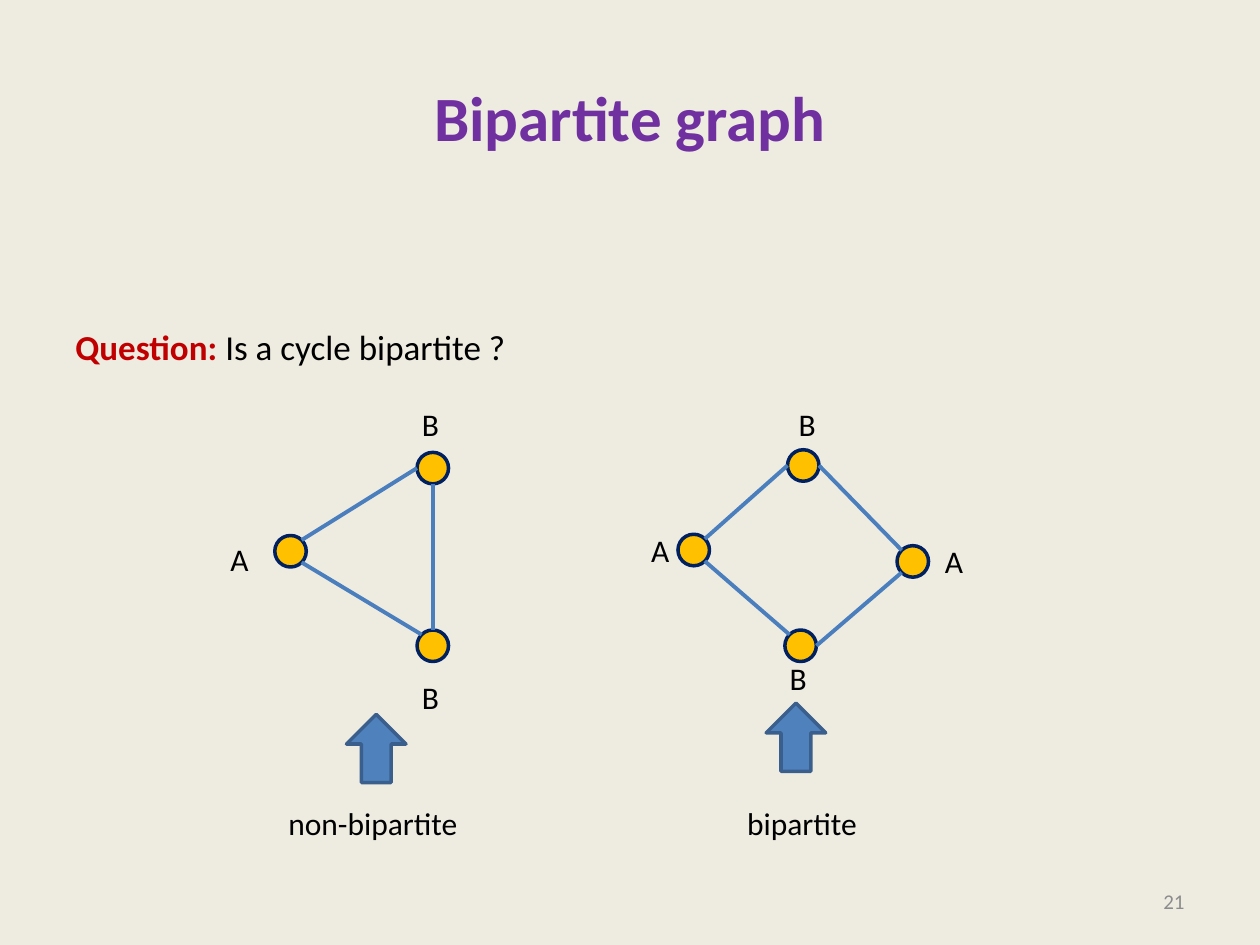
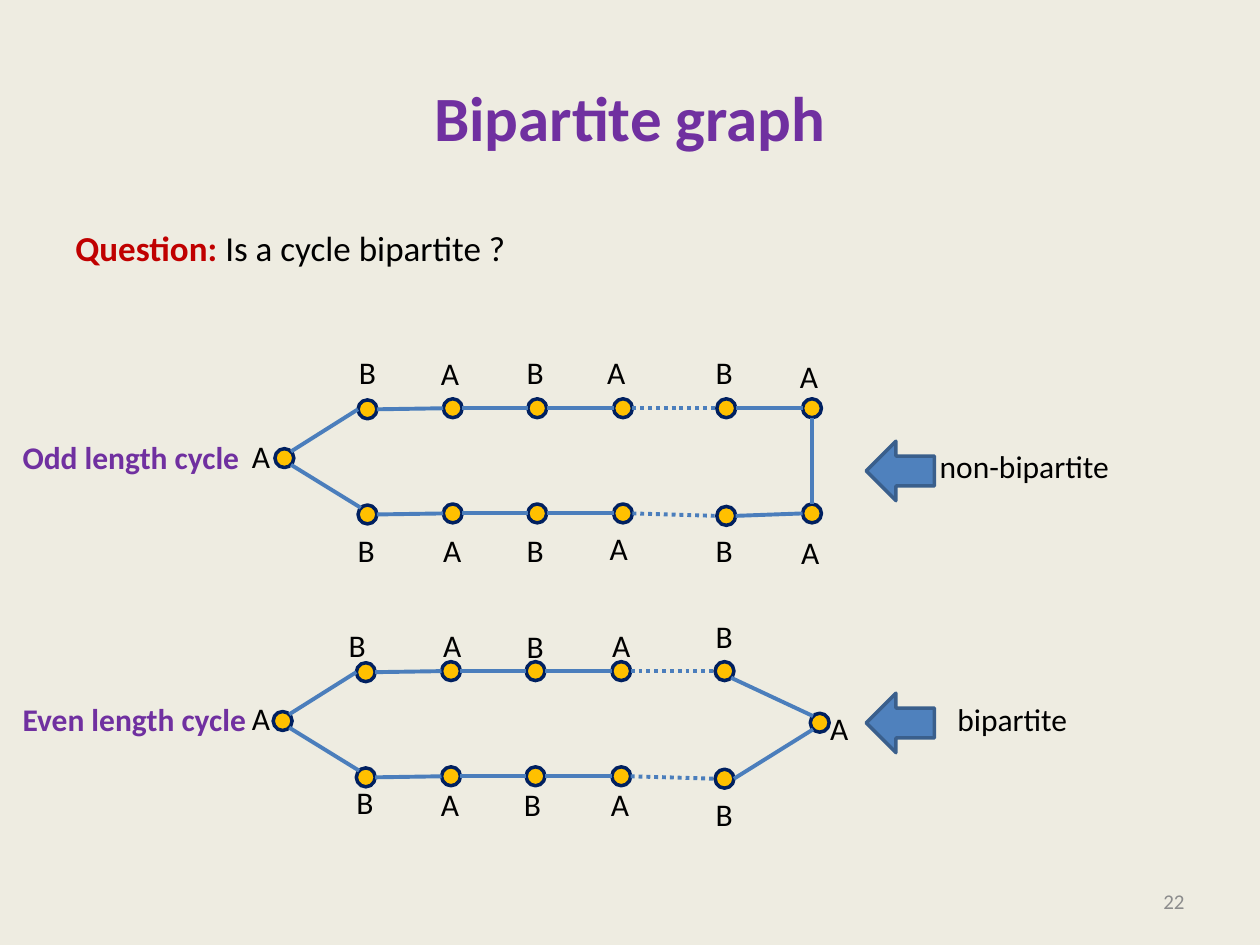
from math import cos, sin, radians
from lxml import etree
from pptx import Presentation
from pptx.dml.color import RGBColor
from pptx.enum.dml import MSO_LINE
from pptx.enum.shapes import MSO_CONNECTOR, MSO_SHAPE
from pptx.enum.text import MSO_ANCHOR, MSO_AUTO_SIZE, PP_ALIGN
from pptx.oxml.ns import qn
from pptx.util import Pt

BACKGROUND = RGBColor(0xEE, 0xEC, 0xE1)
PURPLE = RGBColor(0x70, 0x30, 0xA0)
RED = RGBColor(0xC0, 0x00, 0x00)
BLACK = RGBColor(0x00, 0x00, 0x00)
GRAY = RGBColor(0x8C, 0x8C, 0x8C)
GOLD = RGBColor(0xFF, 0xC0, 0x00)
NAVY = RGBColor(0x00, 0x20, 0x60)
EDGE = RGBColor(0x4B, 0x7E, 0xBC)
BLUE = RGBColor(0x4F, 0x81, 0xBD)
DARK_BLUE = RGBColor(0x3A, 0x5F, 0x8C)
FONT = "Calibri"
ANGLES = {side: radians(45 * i) for i, side in
          enumerate(["e", "se", "s", "sw", "w", "nw", "n", "ne"])}
WIDTHS = {"A": 25.2, "B": 24.5, "non-bipartite": 112.3, "bipartite": 77.8,
          "Odd length cycle": 139, "Even length cycle": 143.3}


def add_text(s, text, x, y, w, h=28.8, size=18, color=BLACK, bold=False,
             align=PP_ALIGN.LEFT, anchor=MSO_ANCHOR.TOP, wrap=True):
    tf = s.shapes.add_textbox(Pt(x), Pt(y), Pt(w), Pt(h)).text_frame
    tf.word_wrap = wrap
    tf.auto_size = MSO_AUTO_SIZE.NONE if wrap else MSO_AUTO_SIZE.SHAPE_TO_FIT_TEXT
    tf.vertical_anchor = anchor
    p = tf.paragraphs[0]
    p.text = text
    p.alignment = align
    font = p.runs[0].font
    font.name, font.size, font.bold = FONT, Pt(size), bold
    font.color.rgb = color
    return p


def add_graph(s, nodes, edges, d):
    for x, y in nodes.values():
        sp = s.shapes.add_shape(MSO_SHAPE.OVAL, Pt(x - d / 2), Pt(y - d / 2), Pt(d), Pt(d))
        sp.shadow.inherit = False
        sp.fill.solid()
        sp.fill.fore_color.rgb = GOLD
        sp.line.color.rgb = NAVY
        sp.line.width = Pt(2)
    for start, start_side, end, end_side, dotted in edges:
        ends = []
        for node, side in ((start, start_side), (end, end_side)):
            x, y = nodes[node]
            ends += [Pt(x + d / 2 * cos(ANGLES[side])), Pt(y + d / 2 * sin(ANGLES[side]))]
        cx = s.shapes.add_connector(MSO_CONNECTOR.STRAIGHT, *ends)
        cx.line.color.rgb = EDGE
        cx.line.width = Pt(2.25)
        if dotted:
            cx.line.dash_style = MSO_LINE.ROUND_DOT
        etree.SubElement(cx._element.spPr, qn("a:effectLst"))


prs = Presentation()
prs.slide_width, prs.slide_height = Pt(720), Pt(540)

triangle = {"left": (166, 315), "top": (247.3, 267.5), "bottom": (247.3, 369)}
triangle_edges = [
    ("left", "ne", "top", "w", False),
    ("left", "se", "bottom", "nw", False),
    ("top", "s", "bottom", "n", False),
]
square = {"left": (396.4, 314.3), "top": (459, 266),
          "bottom": (457.5, 369), "right": (521.6, 320.8)}
square_edges = [
    ("left", "se", "bottom", "nw", False),
    ("left", "ne", "top", "w", False),
    ("top", "e", "right", "nw", False),
    ("right", "sw", "bottom", "e", False),
]

rail_x = [210, 258.7, 307, 356, 415]
rails = {"top": [233.9, 233.3, 233.3, 233.3, 233.3],
         "bottom": [294, 293.4, 293.4, 293.4, 294.8]}
odd = {"start": (162.5, 261.8)}
chain_edges = [("start", "ne", "top0", "w", False), ("start", "se", "bottom0", "nw", False)]
for rail, rail_y in rails.items():
    for i, (x, y) in enumerate(zip(rail_x, rail_y)):
        odd[f"{rail}{i}"] = (x, y)
        if i:
            chain_edges.append((f"{rail}{i - 1}", "e", f"{rail}{i}", "w", i == 4))
even = {name: (x - 1, y + 150.2) for name, (x, y) in odd.items()}
odd["top5"] = (464, 233.3)
odd["bottom5"] = (464, 293.4)
even["end"] = (468.4, 413)
odd_edges = chain_edges + [
    ("top4", "e", "top5", "w", False),
    ("bottom4", "e", "bottom5", "w", False),
    ("top5", "s", "bottom5", "n", False),
]
even_edges = chain_edges + [
    ("top4", "se", "end", "nw", False),
    ("end", "sw", "bottom4", "e", False),
]

small_labels = [
    ("A", 124.5, 305.3), ("B", 234, 383.8), ("B", 234, 228.2),
    ("A", 365, 300.2), ("B", 449.3, 228.2), ("B", 444.2, 373), ("A", 532.8, 306),
    ("non-bipartite", 157.7, 455.8), ("bipartite", 419.8, 455.8),
]
long_labels = [
    ("A", 136.8, 246.2), ("A", 136.8, 396), ("A", 467.3, 401.8),
    ("non-bipartite", 529.9, 252), ("bipartite", 540, 396.7),
    ("Odd length cycle", 5.8, 247), ("Even length cycle", 5.8, 396.7),
]
label_rows = [
    [(198, 198), (244.8, 198.7), (293.8, 198), (339.8, 198), (401.8, 198), (450, 200.2)],
    [(197.3, 300.2), (246.2, 300.2), (293.8, 300.2), (341.3, 298.8), (401.8, 300.2), (450.7, 301)],
    [(192.2, 354.2), (246.2, 354.2), (293.8, 355), (342.7, 354.2), (401.8, 349.2)],
    [(196.6, 444.2), (244.8, 445), (292.3, 445), (342, 445), (401.8, 450.7)],
]
for row in label_rows:
    long_labels += [("BA"[i % 2], x, y) for i, (x, y) in enumerate(row)]

slides = [
    (21, 182.4, 18, [(triangle, triangle_edges), (square, square_edges)],
     small_labels, 0, [(198, 408.2), (437.8, 401.8)]),
    (22, 126, 10.8, [(odd, odd_edges), (even, even_edges)],
     long_labels, 270, [(497.5, 249.6), (497.5, 393.6)]),
]
for number, question_y, d, graphs, labels, rotation, arrows in slides:
    s = prs.slides.add_slide(prs.slide_layouts[6])
    s.background.fill.solid()
    s.background.fill.fore_color.rgb = BACKGROUND
    add_text(s, "Bipartite graph", 36, 21.6, 648, 90, 36, PURPLE, True,
             PP_ALIGN.CENTER, MSO_ANCHOR.MIDDLE)
    p = add_text(s, "Question: ", 36, question_y, 648, 482.4 - question_y, 20, RED, True)
    r = p.add_run()
    r.text = "Is a cycle bipartite ?"
    r.font.name, r.font.size = FONT, Pt(20)
    r.font.color.rgb = BLACK
    add_text(s, str(number), 516, 500.5, 168, size=12, color=GRAY,
             align=PP_ALIGN.RIGHT, anchor=MSO_ANCHOR.MIDDLE)
    for nodes, edges in graphs:
        add_graph(s, nodes, edges, d)
    for x, y in arrows:
        sp = s.shapes.add_shape(MSO_SHAPE.UP_ARROW, Pt(x), Pt(y), Pt(34), Pt(39))
        sp.rotation = rotation
        sp.shadow.inherit = False
        sp.fill.solid()
        sp.fill.fore_color.rgb = BLUE
        sp.line.color.rgb = DARK_BLUE
        sp.line.width = Pt(2)
    for text, x, y in labels:
        heading = text.endswith("cycle")
        add_text(s, text, x, y, WIDTHS[text], color=PURPLE if heading else BLACK,
                 bold=heading, wrap=False)

prs.save("out.pptx")
